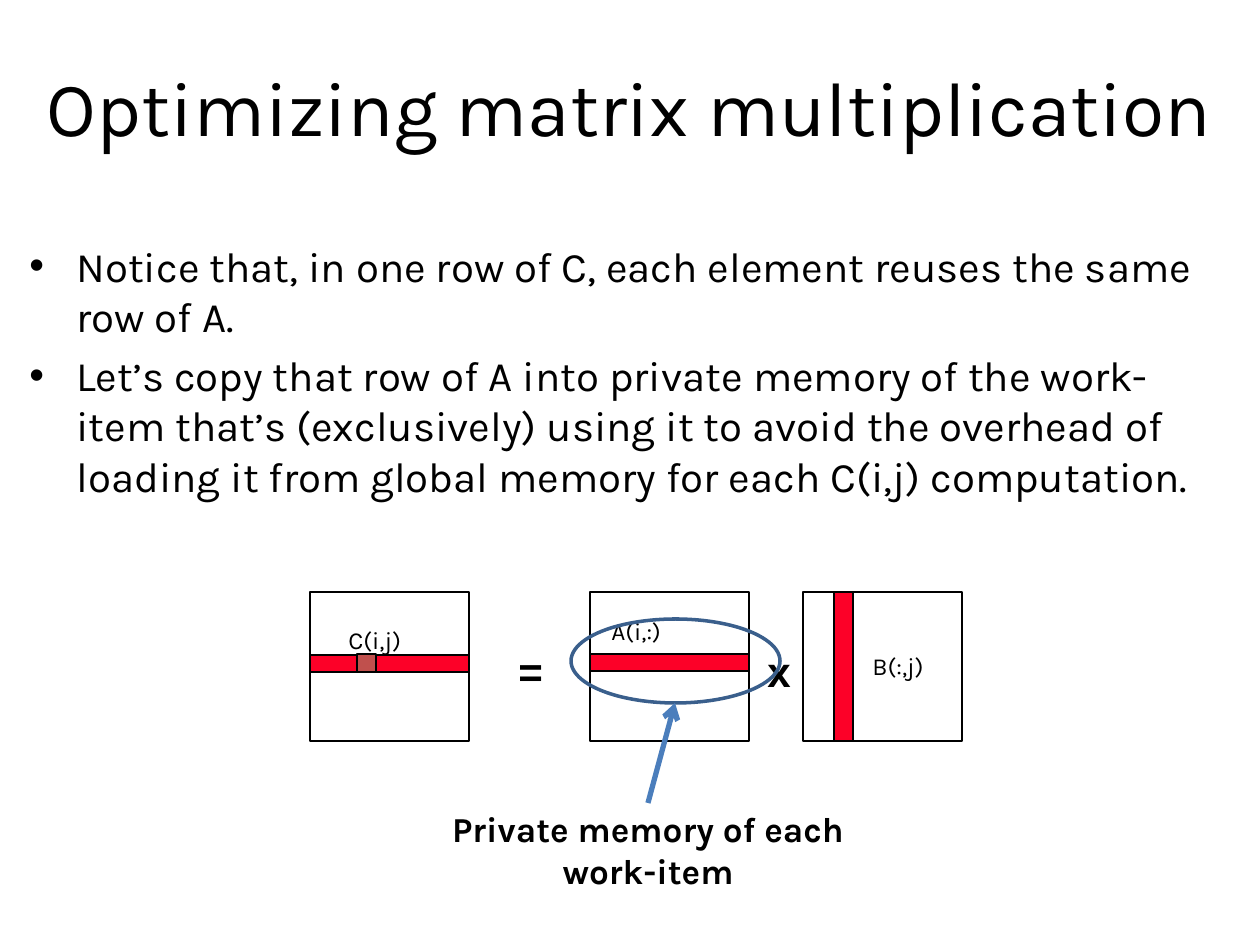
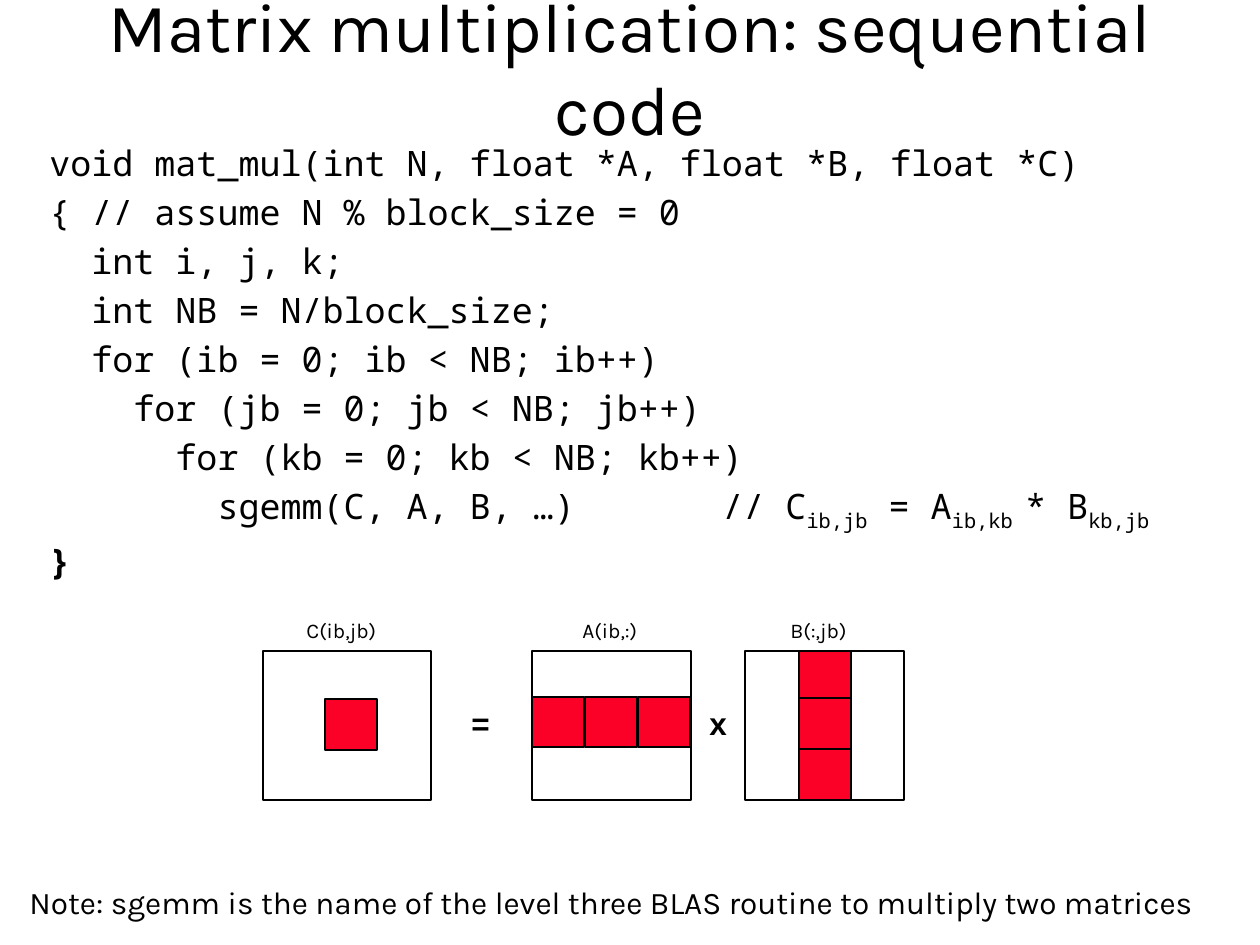
import pptx
import pptx.dml.color
import pptx.enum.shapes
import pptx.enum.text
import pptx.oxml
import pptx.oxml.ns
import pptx.util

EMU_PER_PX = 914400 / 126
BLACK, RED, BRICK, NAVY, BLUE = "000000", "FC0128", "C0504D", "3A5F8C", "4B7EBC"
BODY_FONT, CODE_FONT, SIGN_FONT = "Karla", "Noto Sans Mono", "Arial"
CENTER = pptx.enum.text.PP_ALIGN.CENTER
SHAPES = pptx.enum.shapes.MSO_SHAPE
MATRIX_HEIGHT = 149
BULLETS = [
    "Notice that, in one row of C, each element reuses the same row of A.",
    "Let’s copy that row of A into private memory of the work-item that’s (exclusively) using it "
    "to avoid the overhead of loading it from global memory for each C(i,j) computation.",
]
CODE = [
    "void mat_mul(int N, float *A, float *B, float *C)",
    "{ // assume N % block_size = 0",
    "  int i, j, k;",
    "  int NB = N/block_size;",
    "  for (ib = 0; ib < NB; ib++)",
    "    for (jb = 0; jb < NB; jb++)",
    "      for (kb = 0; kb < NB; kb++)",
]
SGEMM_SPANS = ["        sgemm(C, A, B, …)\t// C", "ib,jb", " = A", "ib,kb ", "* B", "kb,jb"]


def px(*lengths):
    """Turn pixel lengths into a list of EMU."""
    return [round(length * EMU_PER_PX) for length in lengths]


def color(value):
    """Return the colour of a hex string."""
    return pptx.dml.color.RGBColor.from_string(value)


def add_element(parent, xml):
    """Append a drawing element to its parent."""
    tag, _, rest = xml.partition(" ")
    parent.append(pptx.oxml.parse_xml(f"<a:{tag} {pptx.oxml.ns.nsdecls('a')} {rest}"))


def add_span(para, words, size, font=BODY_FONT, **formats):
    """Add a run of text with its font format."""
    span = para.add_run()
    span.text = words
    for name, value in {"size": pptx.util.Pt(size), "name": font, **formats}.items():
        setattr(span.font, name, value)
    span.font.color.rgb = color(BLACK)
    return span


def add_box(page, left, top, width, height, **frame_formats):
    """Add a wrapping text box."""
    box = page.shapes.add_textbox(*px(left, top, width, height))
    for name, value in {"word_wrap": True, **frame_formats}.items():
        setattr(box.text_frame, name, value)
    return box


def add_label(page, place, words, size, font=BODY_FONT, align=None, spacing=None, **formats):
    """Add a text box of one paragraph."""
    box = add_box(page, *place, margin_right=0 if font == SIGN_FONT else px(12)[0])
    para = box.text_frame.paragraphs[0]
    para.alignment = align
    para.line_spacing = spacing
    add_span(para, words, size, font, **formats)
    return box


def add_title(page, top, words, size):
    """Add the centred slide title."""
    box = add_box(page, 15, top, 1230, 158, vertical_anchor=pptx.enum.text.MSO_ANCHOR.MIDDLE)
    para = box.text_frame.paragraphs[0]
    para.alignment = CENTER
    add_span(para, words, size)


def add_figure(page, left, top, width, height, fill=None, line=BLACK, weight=1, kind=SHAPES.RECTANGLE):
    """Add an outlined preset shape, filled on request."""
    figure = page.shapes.add_shape(kind, *px(left, top, width, height))
    figure.shadow.inherit = False
    if fill:
        figure.fill.solid()
        figure.fill.fore_color.rgb = color(fill)
    else:
        figure.fill.background()
    figure.line.color.rgb = color(line)
    figure.line.width = pptx.util.Pt(weight)


def add_arrow(page, source, start, end):
    """Add an arrow from the top of a box to a point."""
    arrow = page.shapes.add_connector(pptx.enum.shapes.MSO_CONNECTOR.STRAIGHT, *px(*start, *end))
    arrow.begin_connect(source, 0)
    arrow.line.color.rgb = color(BLUE)
    arrow.line.width = pptx.util.Pt(3)
    add_element(arrow.line._get_or_add_ln(), 'tailEnd type="arrow"/>')
    add_element(arrow._element.spPr, "effectLst />")


def add_bullets(page, place, items):
    """Add a bulleted list."""
    frame = add_box(page, *place).text_frame
    for index, item in enumerate(items):
        para = frame.add_paragraph() if index else frame.paragraphs[0]
        properties = para._p.get_or_add_pPr()
        indent = px(47)[0]
        properties.set("marL", str(indent))
        properties.set("indent", str(-indent))
        add_element(properties, 'buFont typeface="Arial"/>')
        add_element(properties, 'buChar char="•"/>')
        if index:
            para.space_before = pptx.util.Pt(4.8)
        add_span(para, item, 24)


def add_code(page, place):
    """Add the code listing with its subscripted comment."""
    frame = add_box(page, *place).text_frame
    for index, spans in enumerate([[line] for line in CODE] + [SGEMM_SPANS, ["}"]]):
        para = frame.add_paragraph() if index else frame.paragraphs[0]
        if index:
            para.space_before = pptx.util.Pt(4)
        if spans is SGEMM_SPANS:
            add_element(para._p.get_or_add_pPr(), f'tabLst ><a:tab pos="{px(673)[0]}" algn="l"/></a:tabLst>')
        for order, words in enumerate(spans):
            span = add_span(para, words, 20, CODE_FONT, bold=words == "}")
            if order % 2:
                span._r.get_or_add_rPr().set("baseline", "-25000")


def add_equation(page, left, top, c_place, equals_left, sign_top, sign_size):
    """Add the outlines and signs of C = A x B, placed by the left edge of A."""
    c_left, c_width = c_place
    for matrix_left, width in ((c_left, c_width), (left, 159), (left + 213, 159)):
        add_figure(page, matrix_left, top, width, MATRIX_HEIGHT)
    for sign, sign_left, width in (("=", equals_left, 74), ("x", left + 165, 23)):
        add_label(page, (sign_left, sign_top, width, 63), sign, sign_size, SIGN_FONT, bold=True)


def build_private_memory(page):
    """Build the slide on copying a row of A to private memory."""
    add_title(page, 27, "Optimizing matrix multiplication", 44)
    add_bullets(page, (17, 234, 1211, 297), BULLETS)
    add_equation(page, 590, 592, (310, 159), 506, 639, 24)
    for words, left, top in (("A(i,:)", 599, 610), ("B(:,j)", 860, 645), ("C(i,j)", 336, 619)):
        add_label(page, (left, top, 93, 43), words, 14)
    add_figure(page, 590, 654, 159, 17, RED)
    add_figure(page, 834, 592, 19, MATRIX_HEIGHT, RED)
    add_figure(page, 310, 655, 159, 17, RED)
    add_figure(page, 357, 654, 19, 18, BRICK)
    caption = add_label(page, (421, 803, 454, 97), "Private memory of each work-item", 20,
                        align=CENTER, spacing=0.99, bold=True)
    add_figure(page, 571, 619, 209, 84, line=NAVY, weight=2, kind=SHAPES.OVAL)
    add_arrow(page, caption, (648, 803), (675, 703))


def build_sequential_code(page):
    """Build the slide on the blocked sequential code."""
    add_title(page, -13, "Matrix multiplication: sequential code", 39.6)
    add_code(page, (37, 135, 1223, 776))
    add_label(page, (17, 877, 1221, 50),
              "Note: sgemm is the name of the level three BLAS routine to multiply two matrices", 18)
    add_equation(page, 532, 651, (263, 168), 459, 698, 18)
    for words, left, width in (("A(ib,:)", 570, 93), ("B(:,jb)", 778, 93), ("C(ib,jb)", 294, 105)):
        add_label(page, (left, 611, width, 38), words, 12)
    add_figure(page, 325, 699, 52, 51, RED)
    for column in range(3):
        add_figure(page, 532 + 53 * column, 697, 52, 50, RED)
    for top, height in ((651, 47), (698, 51), (749, 51)):
        add_figure(page, 799, top, 52, height, RED)


def main():
    """Build and save the deck."""
    deck = pptx.Presentation()
    deck.slide_width, deck.slide_height = px(1260, 945)
    for build in (build_private_memory, build_sequential_code):
        build(deck.slides.add_slide(deck.slide_layouts[6]))
    deck.save("out.pptx")


if __name__ == "__main__":
    main()
